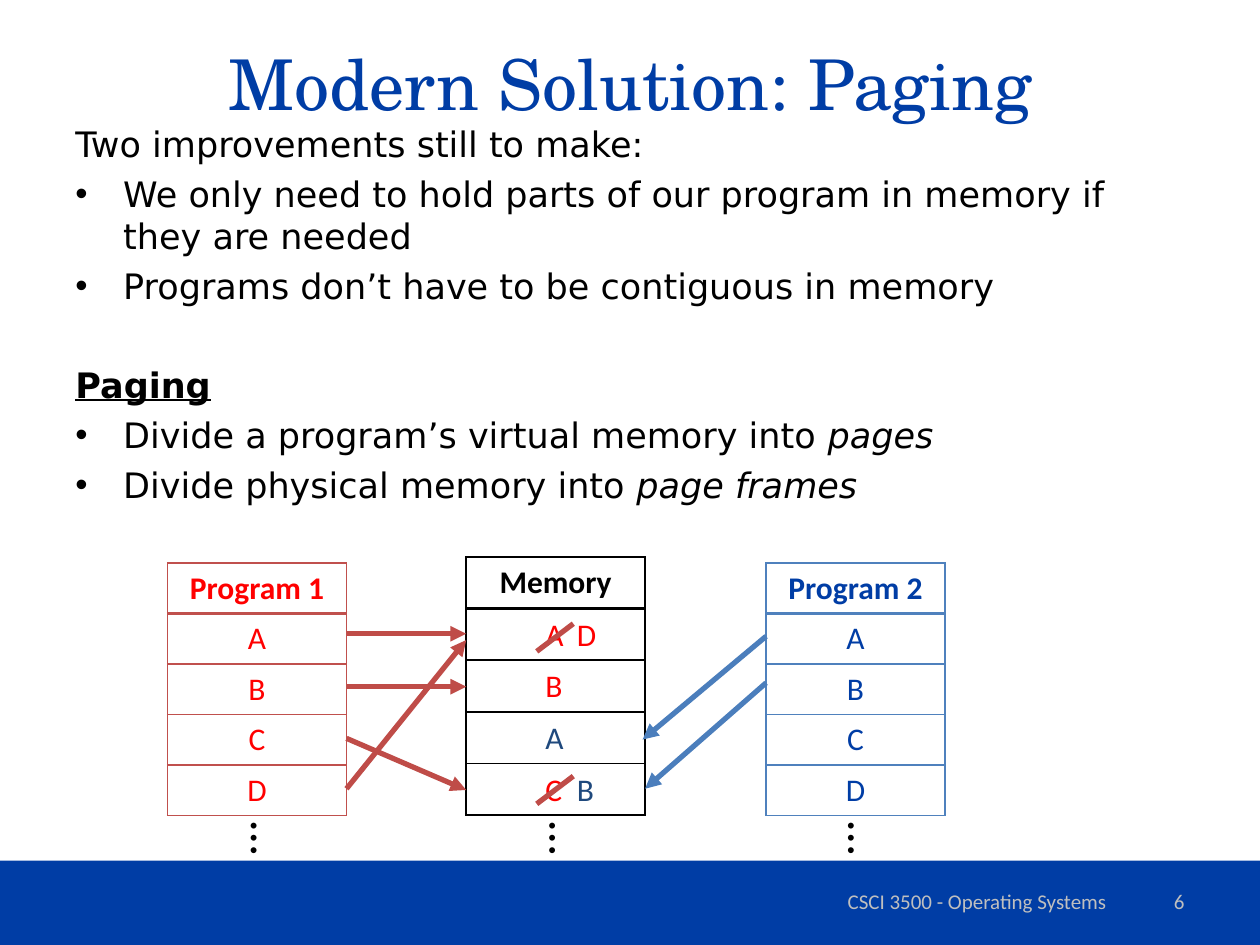
import dataclasses

import lxml.etree
import pptx
import pptx.dml.color
import pptx.enum.shapes
import pptx.enum.text
import pptx.oxml.ns
import pptx.util

Inches = pptx.util.Inches
Pt = pptx.util.Pt
ALIGN = pptx.enum.text.PP_ALIGN
ANCHOR = pptx.enum.text.MSO_ANCHOR
qn = pptx.oxml.ns.qn


@dataclasses.dataclass(frozen=True)
class Theme:
    royal: str = "003DA5"
    black: str = "000000"
    red: str = "FF0000"
    navy: str = "1F497D"
    footer_gray: str = "BFBFBF"
    red_border: str = "C0504D"
    blue_border: str = "4F81BD"
    red_arrow: str = "BF4C48"
    blue_arrow: str = "4B7EBC"
    title_font: str = "TeX Gyre Schola"
    body_font: str = "DejaVu Sans"
    diagram_font: str = "Calibri"
    title_size: int = 40
    body_size: int = 20
    diagram_size: int = 18
    footer_size: int = 12
    ellipsis_size: int = 28
    paragraph_gap: float = 4.66
    section_gap: float = 32.6


def rgb(color):
    return pptx.dml.color.RGBColor.from_string(color)


class SlideBuilder:
    def __init__(self, slide, theme):
        self.slide = slide
        self.theme = theme

    def style(self, paragraph, size, color, font=None, bold=False):
        paragraph.font.size = Pt(size)
        paragraph.font.name = font or self.theme.diagram_font
        paragraph.font.color.rgb = rgb(color)
        paragraph.font.bold = bold

    def band(self, left, top, width, height, color):
        band = self.slide.shapes.add_shape(
            pptx.enum.shapes.MSO_SHAPE.RECTANGLE,
            Inches(left), Inches(top), Inches(width), Inches(height))
        band.shadow.inherit = False
        band.fill.solid()
        band.fill.fore_color.rgb = rgb(color)
        band.line.fill.background()

    def box(self, left, top, width, height, anchor=ANCHOR.TOP, wrap=True):
        box = self.slide.shapes.add_textbox(
            Inches(left), Inches(top), Inches(width), Inches(height))
        box.text_frame.word_wrap = wrap
        box.text_frame.vertical_anchor = anchor
        return box

    def line_of_text(self, text, place, size, color, font=None, align=ALIGN.CENTER):
        paragraph = self.box(*place, anchor=ANCHOR.MIDDLE).text_frame.paragraphs[0]
        paragraph.text = text
        paragraph.alignment = align
        self.style(paragraph, size, color, font)

    def label(self, text, place, size, color, rotation=0):
        label = self.box(*place, wrap=False)
        label.text_frame.auto_size = pptx.enum.text.MSO_AUTO_SIZE.SHAPE_TO_FIT_TEXT
        label.rotation = rotation
        paragraph = label.text_frame.paragraphs[0]
        paragraph.text = text
        self.style(paragraph, size, color)

    def body(self, sections, place):
        frame = self.box(*place).text_frame
        for section, (heading, is_titled, points) in enumerate(sections):
            paragraph = frame.add_paragraph() if section else frame.paragraphs[0]
            if section:
                paragraph.space_before = Pt(self.theme.section_gap)
            paragraph.text = heading
            self.style(paragraph, self.theme.body_size, self.theme.black,
                       self.theme.body_font, is_titled)
            paragraph.font.underline = is_titled
            for plain, term in points:
                self.bullet(frame.add_paragraph(), plain, term)

    def bullet(self, paragraph, plain, term):
        properties = paragraph._p.get_or_add_pPr()
        properties.set("marL", str(Inches(0.38)))
        properties.set("indent", str(-Inches(0.38)))
        lxml.etree.SubElement(properties, qn("a:buFont"), typeface="Arial")
        lxml.etree.SubElement(properties, qn("a:buChar"), char="•")
        paragraph.space_before = Pt(self.theme.paragraph_gap)
        self.style(paragraph, self.theme.body_size, self.theme.black, self.theme.body_font)
        paragraph.add_run().text = plain
        if term:
            run = paragraph.add_run()
            run.text = term
            run.font.italic = True

    def border(self, cell, side, color, width):
        line = lxml.etree.SubElement(
            cell._tc.get_or_add_tcPr(), qn(f"a:ln{side}"), w=str(Pt(width)))
        fill = lxml.etree.SubElement(line, qn("a:solidFill"))
        lxml.etree.SubElement(fill, qn("a:srgbClr"), val=color)

    def page_table(self, entries, left, top, row_height, color, border_color):
        table = self.slide.shapes.add_table(
            len(entries), 1, Inches(left), Inches(top),
            Inches(1.42), Inches(row_height * len(entries))).table
        table.first_row = table.horz_banding = False
        for row, entry in enumerate(entries):
            table.rows[row].height = Inches(row_height)
            cell = table.cell(row, 0)
            widths = {"L": 1, "R": 1, "T": 2 if row == 1 else 1, "B": 1 if row else 2}
            for side, width in widths.items():
                self.border(cell, side, border_color, width)
            cell.fill.background()
            paragraph = cell.text_frame.paragraphs[0]
            paragraph.text = entry
            paragraph.alignment = ALIGN.CENTER
            self.style(paragraph, self.theme.diagram_size, color, bold=row == 0)

    def stroke(self, start, end, color, arrow=True):
        stroke = self.slide.shapes.add_connector(
            pptx.enum.shapes.MSO_CONNECTOR.STRAIGHT,
            *(Inches(value) for value in (*start, *end)))
        stroke.line.color.rgb = rgb(color)
        stroke.line.width = Pt(3)
        if arrow:
            lxml.etree.SubElement(stroke.line._get_or_add_ln(), qn("a:tailEnd"), type="triangle")
        lxml.etree.SubElement(stroke._element.spPr, qn("a:effectLst"))


def main():
    deck = pptx.Presentation()
    deck.slide_width, deck.slide_height = Inches(10), Inches(7.5)
    theme = Theme()
    page = SlideBuilder(deck.slides.add_slide(deck.slide_layouts[6]), theme)

    page.band(0, 6.83, 10, 0.67, theme.royal)
    page.line_of_text("Modern Solution: Paging", (0.5, 0.03, 9, 1.25),
                      theme.title_size, theme.royal, theme.title_font)
    page.body([
        ("Two improvements still to make:", False, [
            ("We only need to hold parts of our program in memory if they are needed", ""),
            ("Programs don’t have to be contiguous in memory", "")]),
        ("Paging", True, [
            ("Divide a program’s virtual memory into ", "pages"),
            ("Divide physical memory into ", "page frames")]),
    ], (0.5, 0.92, 9, 4.95))
    page.line_of_text("CSCI 3500 - Operating Systems", (6.17, 6.95, 3.17, 0.4),
                      theme.footer_size, theme.footer_gray)
    page.line_of_text("6", (7.17, 6.95, 2.33, 0.4),
                      theme.footer_size, theme.footer_gray, align=ALIGN.RIGHT)

    page.page_table(["Program 1", *"ABCD"], 1.33, 4.47, 0.4, theme.red, theme.red_border)
    page.page_table(["Program 2", *"ABCD"], 6.08, 4.47, 0.4, theme.royal, theme.blue_border)
    page.page_table(["Memory", "", "", "", ""], 3.7, 4.42, 0.41, theme.black, theme.black)
    for ellipsis_left in (1.91, 4.28, 6.65):
        page.label("…", (ellipsis_left, 6.37, 0.47, 0.57),
                   theme.ellipsis_size, theme.black, 90)

    resident_pages = [
        ("A", 0, 0, theme.red), ("B", 1, 0, theme.red), ("A", 2, 0, theme.navy),
        ("C", 3, 0, theme.red), ("D", 0, 1, theme.red), ("B", 3, 1, theme.navy)]
    for letter, frame, position, color in resident_pages:
        page.label(letter, (4.23 + 0.25 * position, 4.83 + 0.41 * frame, 0.35, 0.4),
                   theme.diagram_size, color)

    program_1_edge, memory_left, program_2_edge = 2.75, 3.7, 6.08
    for page_y, frame_y in [(5.03, 5.03), (5.45, 5.45), (5.86, 6.27), (6.26, 5.08)]:
        page.stroke((program_1_edge, page_y), (memory_left, frame_y), theme.red_arrow)
    for page_y, frame_end in [(5.05, (5.1, 5.87)), (5.42, (5.12, 6.26))]:
        page.stroke((program_2_edge, page_y), frame_end, theme.blue_arrow)
    for strike_bottom in (5.17, 6.38):
        page.stroke((4.26, strike_bottom), (4.55, strike_bottom - 0.22),
                    theme.red_arrow, arrow=False)

    deck.save("out.pptx")


if __name__ == "__main__":
    main()
